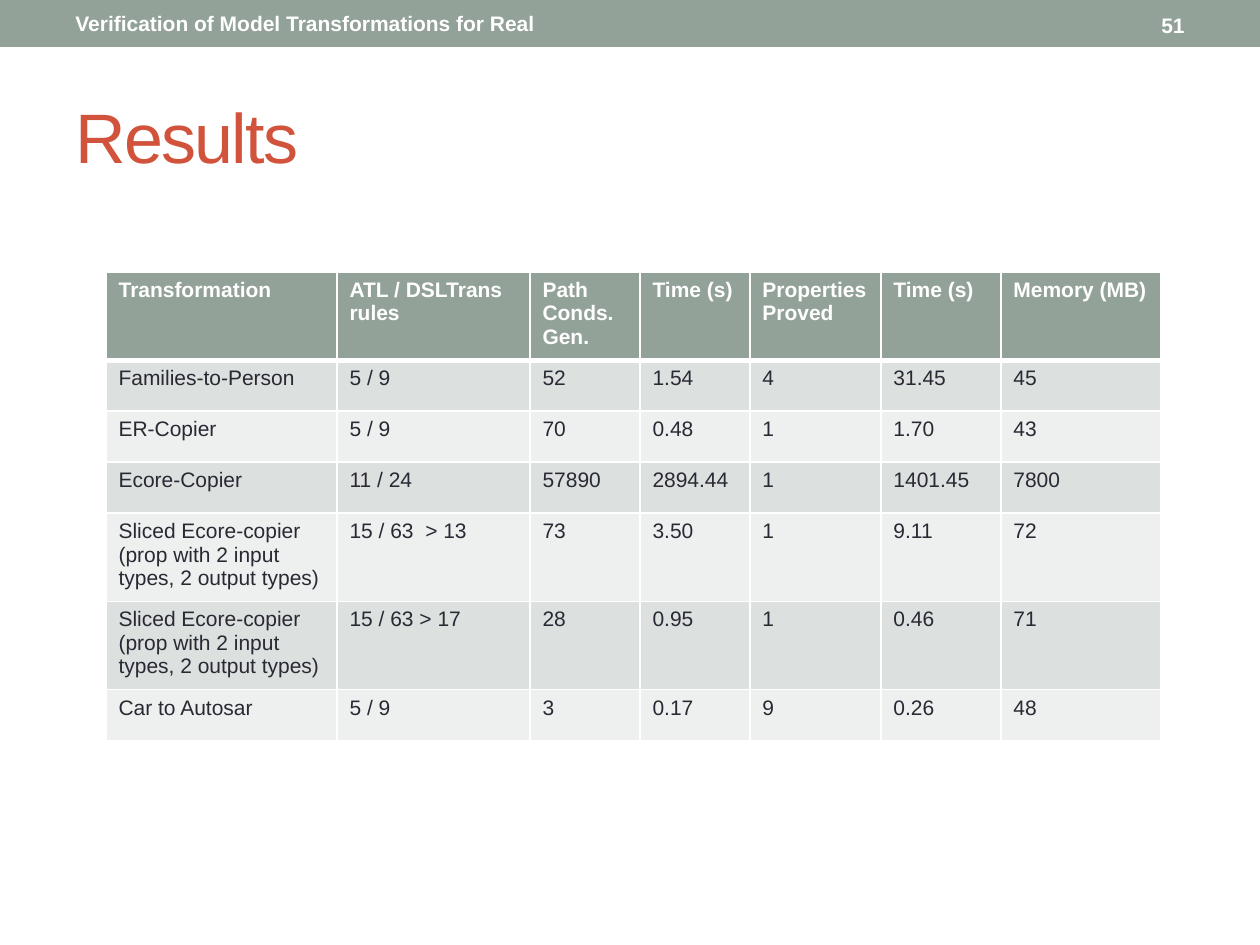
from pptx import Presentation
from pptx.dml.color import RGBColor
from pptx.enum.shapes import MSO_SHAPE
from pptx.enum.text import MSO_ANCHOR, PP_ALIGN
from pptx.oxml.ns import qn
from pptx.util import Emu, Pt
from lxml.etree import SubElement

PX_PER_INCH = 126
COLORS = {
    "sage": "93A299",
    "white": "FFFFFF",
    "rust": "D2533C",
    "ink": "292934",
    "odd_row": "DCE0DE",
    "even_row": "EEF0EF",
}
BANNER_FONT = {"name": "Arial", "size": Pt(12), "bold": True}
BODY_FONT = {"name": "Arial", "size": Pt(12), "bold": False}
TITLE_FONT = {"name": "Arial", "size": Pt(40), "bold": False}

COLUMN_WIDTHS = [231, 193, 110, 110, 131, 120, 160]
HEADER_HEIGHT, ROW_HEIGHT = 82, 51
RESULTS = [
    ["Transformation", "ATL / DSLTrans rules", "Path Conds. Gen.", "Time (s)",
     "Properties Proved", "Time (s)", "Memory (MB)"],
    ["Families-to-Person", "5 / 9", "52", "1.54", "4", "31.45", "45"],
    ["ER-Copier", "5 / 9", "70", "0.48", "1", "1.70", "43"],
    ["Ecore-Copier", "11 / 24", "57890", "2894.44", "1", "1401.45", "7800"],
    ["Sliced Ecore-copier (prop with 2 input types, 2 output types)",
     "15 / 63  > 13", "73", "3.50", "1", "9.11", "72"],
    ["Sliced Ecore-copier\n(prop with 2 input types, 2 output types)",
     "15 / 63 > 17", "28", "0.95", "1", "0.46", "71"],
    ["Car to Autosar", "5 / 9", "3", "0.17", "9", "0.26", "48"],
]


def px(length):
    return Emu(round(length * 914400 / PX_PER_INCH))


def rgb(color):
    return RGBColor.from_string(COLORS[color])


def format_text(frame, font_values, color, align=PP_ALIGN.LEFT):
    for paragraph in frame.paragraphs:
        paragraph.alignment = align
        for run in paragraph.runs:
            for attribute, value in font_values.items():
                setattr(run.font, attribute, value)
            run.font.color.rgb = rgb(color)


def add_banner(slide, left, top, width, height):
    """Add the top band with the talk's name and the slide number."""
    band = slide.shapes.add_shape(
        MSO_SHAPE.RECTANGLE, px(left), px(top), px(width), px(height))
    band.shadow.inherit = False
    band.fill.solid()
    band.fill.fore_color.rgb = rgb("sage")
    band.line.fill.background()

    labels = [
        ("Verification of Model Transformations for Real", 63, 1, 856, PP_ALIGN.LEFT),
        ("51", 1049, 3, 148, PP_ALIGN.RIGHT),
    ]
    for wording, x, y, label_width, align in labels:
        label = slide.shapes.add_textbox(
            px(left + x), px(top + y), px(label_width), px(height - 2))
        frame = label.text_frame
        frame.word_wrap = True
        frame.vertical_anchor = MSO_ANCHOR.MIDDLE
        frame.text = wording
        format_text(frame, BANNER_FONT, "white", align)


def set_title(slide, left, top, width, height):
    title = slide.shapes.title
    title.left, title.top = px(left), px(top)
    title.width, title.height = px(width), px(height)
    frame = title.text_frame
    frame.text = "Results"
    frame.vertical_anchor = MSO_ANCHOR.MIDDLE
    format_text(frame, TITLE_FONT, "rust")
    frame.paragraphs[0].runs[0].font._element.set("spc", "-100")


def set_borders(cell, top=1, bottom=1):
    """Draw white cell borders, with widths in points."""
    properties = cell._tc.get_or_add_tcPr()
    for side, points in {"L": 1, "R": 1, "T": top, "B": bottom}.items():
        border = SubElement(properties, qn(f"a:ln{side}"), w=str(Pt(points)))
        fill = SubElement(border, qn("a:solidFill"))
        SubElement(fill, qn("a:srgbClr"), val=COLORS["white"])


def add_results_table(slide, left, top):
    height = HEADER_HEIGHT + ROW_HEIGHT * (len(RESULTS) - 1)
    table = slide.shapes.add_table(
        len(RESULTS), len(COLUMN_WIDTHS), px(left), px(top),
        px(sum(COLUMN_WIDTHS)), px(height)).table
    for column, width in zip(table.columns, COLUMN_WIDTHS):
        column.width = px(width)
    for index, record in enumerate(RESULTS):
        is_header = index == 0
        table.rows[index].height = px(HEADER_HEIGHT if is_header else ROW_HEIGHT)
        if is_header:
            fill, font_values, ink = "sage", BANNER_FONT, "white"
        else:
            fill = "odd_row" if index % 2 else "even_row"
            font_values, ink = BODY_FONT, "ink"
        for cell, wording in zip(table.rows[index].cells, record):
            set_borders(cell, top=3 if index == 1 else 1, bottom=3 if is_header else 1)
            cell.fill.solid()
            cell.fill.fore_color.rgb = rgb(fill)
            cell.text = wording
            format_text(cell.text_frame, font_values, ink)


def main():
    presentation = Presentation()
    presentation.slide_width, presentation.slide_height = px(1260), px(945)
    slide = presentation.slides.add_slide(presentation.slide_layouts[5])
    add_banner(slide, 0, 0, 1260, 47)
    set_title(slide, 63, 67, 1134, 136)
    add_results_table(slide, 106, 272)
    presentation.save("out.pptx")


if __name__ == "__main__":
    main()
